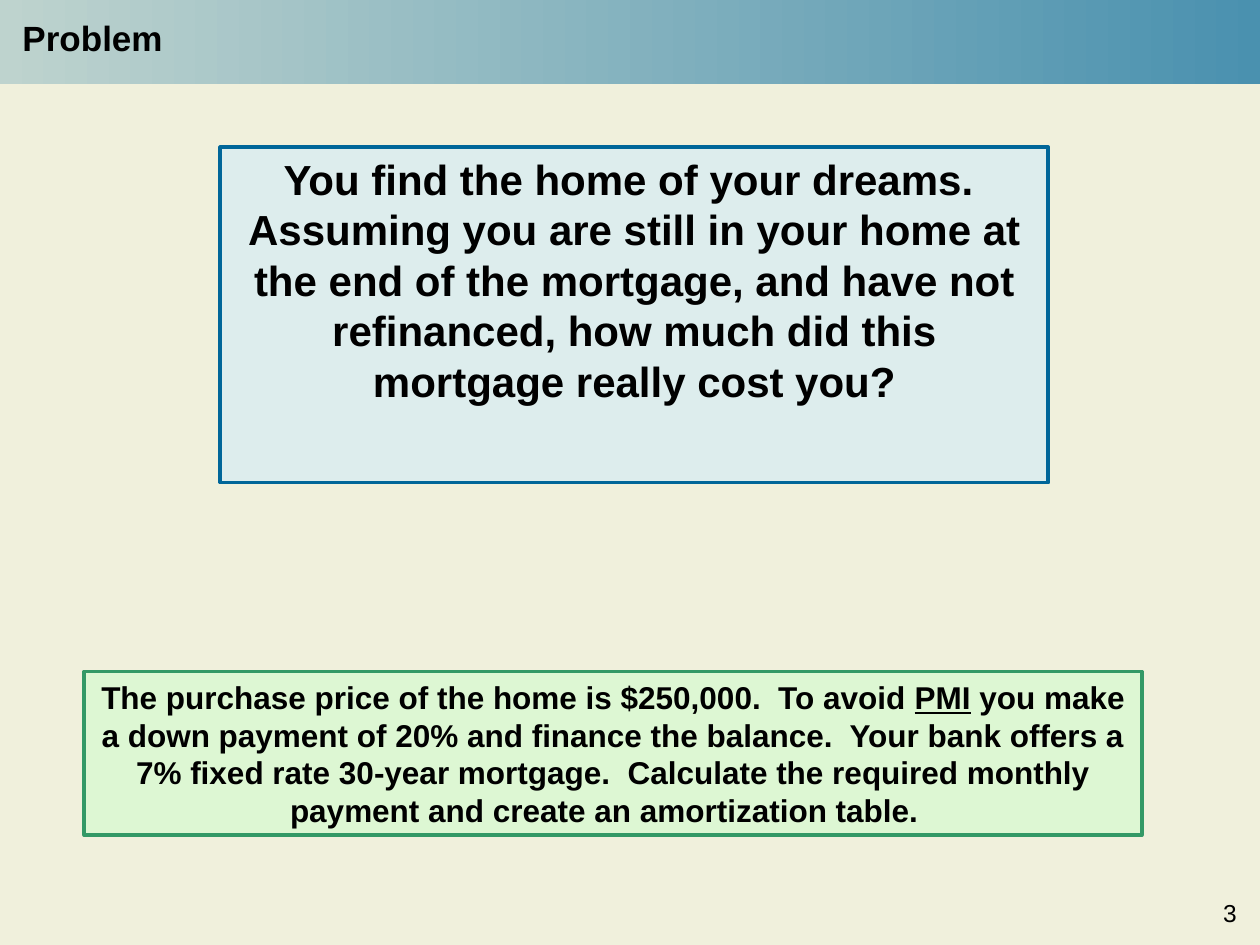
from dataclasses import dataclass

from pptx import Presentation
from pptx import util as u
from pptx.dml.color import RGBColor
from pptx.enum import shapes, text
from pptx.oxml import parse_xml
from pptx.oxml.ns import nsdecls

Inches, Pt = u.Inches, u.Pt


@dataclass(frozen=True)
class Theme:
    font: str = "Arial"
    ink: str = "000000"
    background: str = "F0F0DC"
    banner: tuple = ("BED3CE", "4A91AF")
    question: tuple = ("CCECFF", "006699")  # fill, border
    details: tuple = ("CCFFCC", "339966")
    question_size: int = 24
    title_size: int = 20
    details_size: int = 18
    number_size: int = 14


THEME = Theme()


def rgb(value):
    return RGBColor.from_string(value)


def write(shape, runs, size, bold=True, align=text.PP_ALIGN.LEFT):
    """Fill a shape with one paragraph; runs are (wording, underlined) pairs."""
    tf = shape.text_frame
    tf.word_wrap = True
    tf.vertical_anchor = text.MSO_ANCHOR.TOP
    p = tf.paragraphs[0]
    p.alignment = align
    p.font.name, p.font.size, p.font.bold = THEME.font, Pt(size), bold
    p.font.color.rgb = rgb(THEME.ink)
    for wording, underlined in runs:
        r = p.add_run()
        r.text = wording
        if underlined:
            r.font.underline = True


def add_rect(s, box):
    sp = s.shapes.add_shape(shapes.MSO_SHAPE.RECTANGLE, *map(Inches, box))
    sp.shadow.inherit = False
    return sp


def add_label(s, box, wording, size, bold):
    """Single-line text box that grows with its text."""
    sp = s.shapes.add_textbox(*map(Inches, box))
    write(sp, [(wording, False)], size, bold)
    sp.text_frame.word_wrap = False
    sp.text_frame.auto_size = text.MSO_AUTO_SIZE.SHAPE_TO_FIT_TEXT


def add_panel(s, box, colors, runs, size):
    """Bordered panel with a half-transparent fill and centred text."""
    fill, border = colors
    sp = add_rect(s, box)
    sp.fill.solid()
    sp.fill.fore_color.rgb = rgb(fill)
    color = sp.fill._xPr.solidFill.find("./{*}srgbClr")
    color.append(parse_xml(f'<a:alpha {nsdecls("a")} val="50000"/>'))
    sp.line.color.rgb = rgb(border)
    sp.line.width = Pt(2.25)
    write(sp, runs, size, align=text.PP_ALIGN.CENTER)


def add_header(s, box, title):
    """Gradient banner with the slide title."""
    left, top, _, _ = box
    banner = add_rect(s, box)
    banner.fill.gradient()
    banner.fill.gradient_angle = 0
    for stop, color in zip(banner.fill.gradient_stops, THEME.banner):
        stop.color.rgb = rgb(color)
    banner.line.fill.background()
    add_label(s, (left + 0.08, top + 0.08, 1.32, 0.44), title, THEME.title_size, True)


def build_problem_slide(prs):
    s = prs.slides.add_slide(prs.slide_layouts[6])
    s.background.fill.solid()
    s.background.fill.fore_color.rgb = rgb(THEME.background)

    add_header(s, (0, 0, 10, 0.67), "Problem")

    # Question
    add_panel(s, (1.75, 1.17, 6.57, 2.66), THEME.question, [
        ("You find the home of your dreams.  Assuming you are still in your home at "
         "the end of the mortgage, and have not refinanced, how much did this "
         "mortgage really cost you?", False),
    ], THEME.question_size)

    # Mortgage details
    add_panel(s, (0.67, 5.33, 8.39, 1.3), THEME.details, [
        ("The purchase price of the home is $250,000.  To avoid ", False),
        ("PMI", True),
        (" you make a down payment of 20% and finance the balance.  Your bank offers a "
         "7% fixed rate 30-year mortgage.  Calculate the required monthly payment and "
         "create an amortization table.  ", False),
    ], THEME.details_size)

    # Slide number
    add_label(s, (9.61, 7.08, 0.31, 0.34), "3", THEME.number_size, False)


def main():
    prs = Presentation()
    prs.slide_width, prs.slide_height = Inches(10), Inches(7.5)
    build_problem_slide(prs)
    prs.save("out.pptx")


if __name__ == "__main__":
    main()
